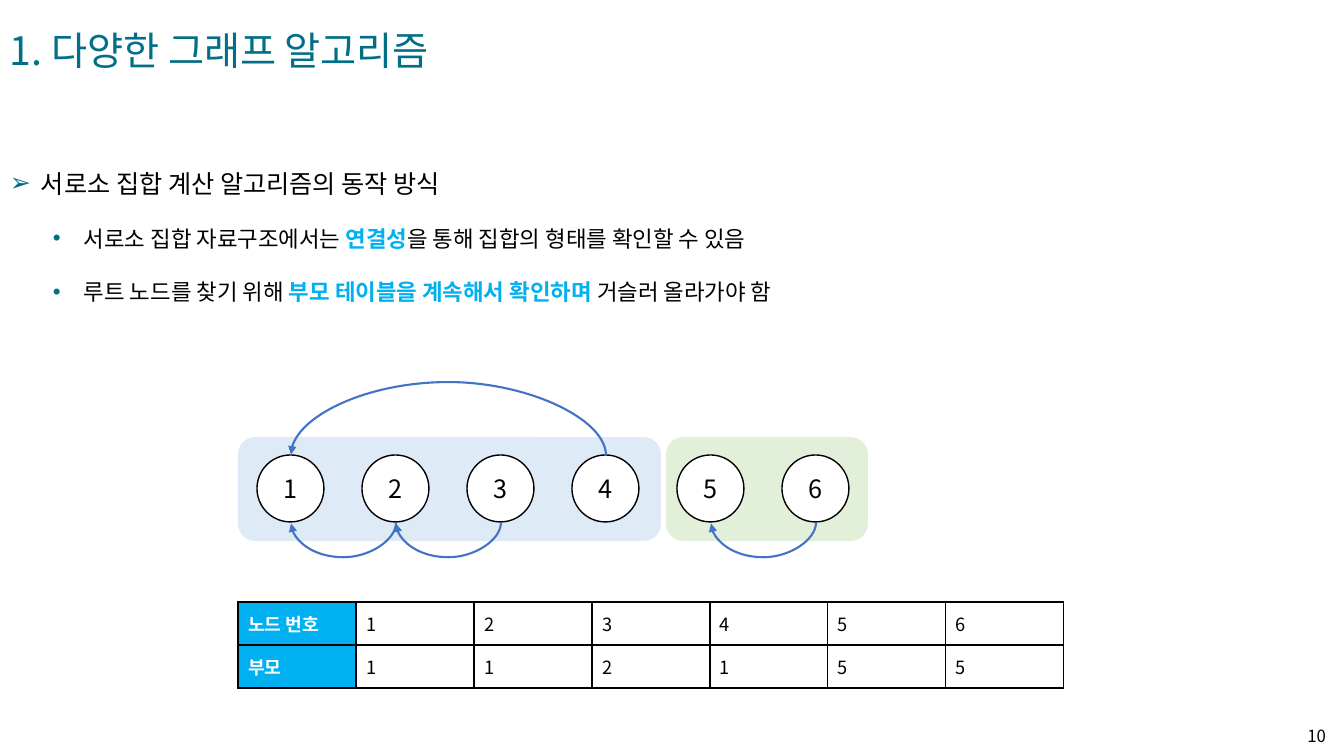
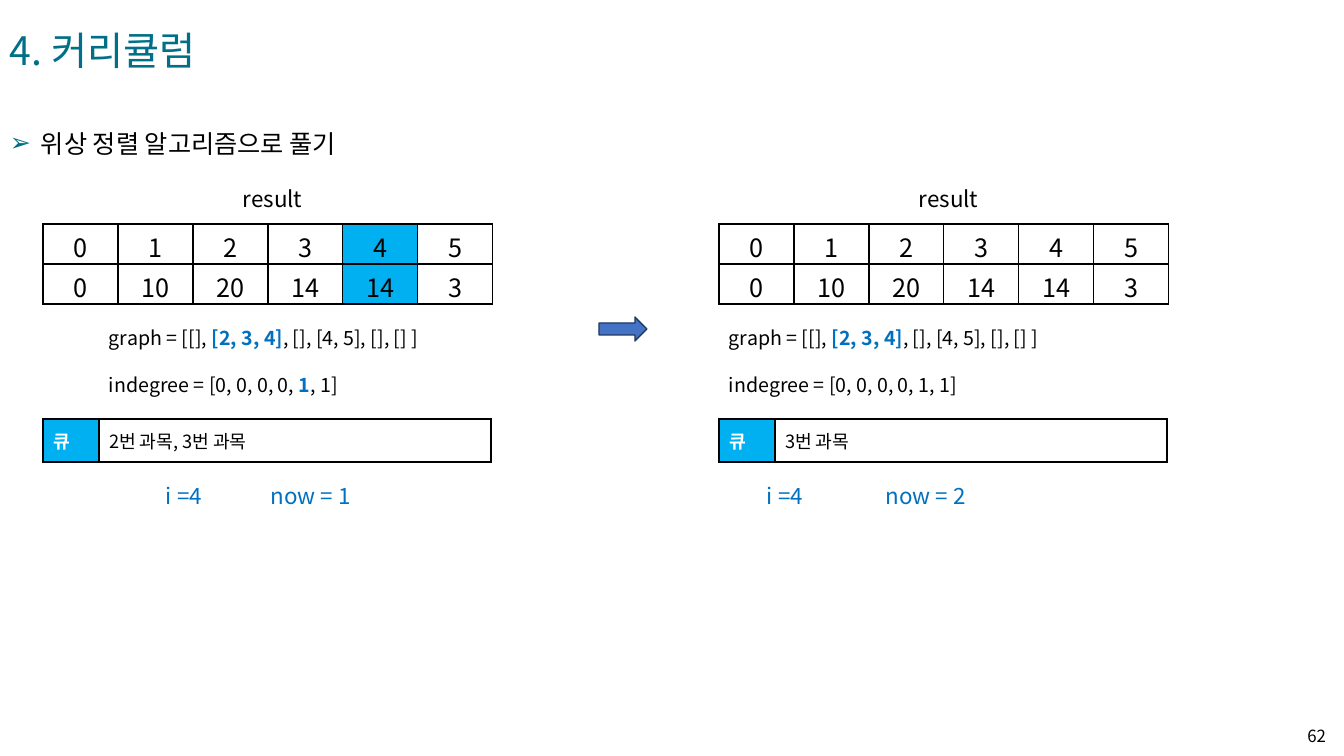
import pptx
import pptx.util
import pptx.dml.color
import pptx.enum.shapes
import pptx.enum.text
import pptx.oxml.ns
from lxml import etree

RGB = pptx.dml.color.RGBColor
SHAPE = pptx.enum.shapes.MSO_SHAPE
ALIGN = pptx.enum.text.PP_ALIGN
ANCHOR = pptx.enum.text.MSO_ANCHOR
FIT = pptx.enum.text.MSO_AUTO_SIZE
qn = pptx.oxml.ns.qn

TEAL = RGB(0x01, 0x6F, 0x87)
SKY = RGB(0x00, 0xB0, 0xF0)
BLUE = RGB(0x00, 0x70, 0xC0)
ARROW = RGB(0x44, 0x72, 0xC4)
ARROW_EDGE = RGB(0x22, 0x39, 0x61)
PALE_BLUE = RGB(0xDE, 0xEB, 0xF7)
PALE_GREEN = RGB(0xE2, 0xF0, 0xD9)
BLACK = RGB(0, 0, 0)
WHITE = RGB(255, 255, 255)
FONT = "Noto Sans CJK KR"

# A paragraph is a list of runs; a (text, colour) run is bold.
UNION_FIND = {
    "title": "1. 다양한 그래프 알고리즘",
    "number": "10",
    "heading": "서로소 집합 계산 알고리즘의 동작 방식",
    "heading_top": 133,
}
POINTS = [
    ["서로소 집합 자료구조에서는 ", ("연결성", SKY), "을 통해 집합의 형태를 확인할 수 있음"],
    ["루트 노드를 찾기 위해 ", ("부모 테이블을 계속해서 확인하며 ", SKY), "거슬러 올라가야 함"],
]
PARENTS = [
    ["노드 번호", "1", "2", "3", "4", "5", "6"],
    ["부모", "1", "1", "2", "1", "5", "5"],
]
SETS = [(238, 423, PALE_BLUE), (666, 202, PALE_GREEN)]  # left, width, colour
LINKS = [(4, 1, "above"), (3, 2, "below"), (2, 1, "below"), (6, 5, "below")]

TOPOLOGICAL = {
    "title": "4. 커리큘럼",
    "number": "62",
    "heading": "위상 정렬 알고리즘으로 풀기",
    "heading_top": 93,
}
RESULT = [["0", "1", "2", "3", "4", "5"], ["0", "10", "20", "14", "14", "3"]]
GRAPH = ["graph = [[], ", ("[2, 3, 4]", BLUE), ", [], [4, 5], [], [] ]"]
STEPS = [
    {
        "left": 43, "active": 4, "code_left": 99,
        "indegree": ["indegree = [0, 0, 0, 0, ", ("1", BLUE), ", 1]"],
        "queue": "2번 과목, 3번 과목",
        "counters": [("i =4", 156, 96), ("now = 1", 261, 231)],
    },
    {
        "left": 719, "active": None, "code_left": 719,
        "indegree": ["indegree = [0, 0, 0, 0, 1, 1]"],
        "queue": "3번 과목",
        "counters": [("i =4", 757, 96), ("now = 2", 876, 231)],
    },
]

NODE_LEFT, NODE_TOP, NODE_SIZE, NODE_PITCH = 257, 455, 67, 105


def px(length):
    return pptx.util.Emu(round(length * 914400 / 100.8))


def box(*lengths):
    return [px(length) for length in lengths]


def apply(target, values):
    for name, value in values.items():
        setattr(target, name, value)


def add_bullet(paragraph, mark):
    props = paragraph._p.get_or_add_pPr()
    props.set("marL", str(px(31)))
    props.set("indent", str(-px(31)))
    colour = etree.SubElement(props, qn("a:buClr"))
    etree.SubElement(colour, qn("a:srgbClr"), val=str(TEAL))
    etree.SubElement(props, qn("a:buFont"), typeface="Arial")
    etree.SubElement(props, qn("a:buChar"), char=mark)


def write(frame, paragraphs, size, colour=BLACK, bold=False, bullet=None, **layout):
    for index, runs in enumerate(paragraphs):
        paragraph = frame.add_paragraph() if index else frame.paragraphs[0]
        if bullet:
            add_bullet(paragraph, bullet)
        apply(paragraph, layout)
        for part in runs:
            text, run_colour, heavy = (part, colour, bold) if isinstance(part, str) else (*part, True)
            run = paragraph.add_run()
            run.text = text
            apply(run.font, {"name": FONT, "size": pptx.util.Pt(size), "bold": heavy})
            run.font.color.rgb = run_colour
            etree.SubElement(run.font._element, qn("a:ea"), typeface=FONT)


def add_text(slide, place, paragraphs, size, anchor=ANCHOR.TOP, fit=FIT.SHAPE_TO_FIT_TEXT, **style):
    frame = slide.shapes.add_textbox(*box(*place)).text_frame
    apply(frame, {"word_wrap": True, "vertical_anchor": anchor, "auto_size": fit})
    write(frame, paragraphs, size, **style)


def add_filled(slide, preset, place, fill, edge=None):
    shape = slide.shapes.add_shape(preset, *box(*place))
    shape.shadow.inherit = False
    shape.fill.solid()
    shape.fill.fore_color.rgb = fill
    if edge is None:
        shape.line.fill.background()
    else:
        shape.line.color.rgb = edge
        shape.line.width = pptx.util.Pt(1)
    return shape


def add_borders(cell):
    props = cell._tc.get_or_add_tcPr()
    for side in ("a:lnL", "a:lnR", "a:lnT", "a:lnB"):
        edge = etree.SubElement(props, qn(side), w=str(pptx.util.Pt(1)))
        fill = etree.SubElement(edge, qn("a:solidFill"))
        etree.SubElement(fill, qn("a:srgbClr"), val=str(BLACK))


def add_grid(slide, left, top, widths, row_height, rows, size, accent, header=False, cell_format=None, **style):
    """Draw a bordered table whose accent column is filled, as a white-on-blue header if asked."""
    place = box(left, top, sum(widths), row_height * len(rows))
    table = slide.shapes.add_table(len(rows), len(widths), *place).table
    apply(table, {"first_row": False, "horz_banding": False})
    for column, width in zip(table.columns, widths):
        column.width = px(width)
    for row, values in enumerate(rows):
        table.rows[row].height = px(row_height)
        for column, text in enumerate(values):
            cell = table.cell(row, column)
            apply(cell, cell_format or {"vertical_anchor": ANCHOR.MIDDLE})
            add_borders(cell)
            if column == accent:
                cell.fill.solid()
                cell.fill.fore_color.rgb = SKY
            else:
                cell.fill.background()
            label = header and column == accent
            write(cell.text_frame, [[text]], size, WHITE if label else BLACK, label, **style)


def add_link(slide, child, parent, side):
    """Draw a curved arrow that bows above or below the row of nodes."""
    child_x, parent_x = (NODE_LEFT + NODE_SIZE / 2 + NODE_PITCH * (n - 1) for n in (child, parent))
    half, middle = (child_x - parent_x) / 2, (child_x + parent_x) / 2
    above = side == "above"
    y = NODE_TOP if above else NODE_TOP + NODE_SIZE + 1
    depth = 74 if above else 35
    start, end = (y + half, y - half) if above else (y - half, y + half)
    link = slide.shapes.add_connector(
        pptx.enum.shapes.MSO_CONNECTOR.CURVE, *box(middle, start, middle + 1, end))
    link.rotation = 270 if above else 90
    link.line.color.rgb = ARROW
    link.line.width = pptx.util.Pt(1.5)
    props = link._element.spPr
    bend = props.find(qn("a:prstGeom")).find(qn("a:avLst"))
    etree.SubElement(bend, qn("a:gd"), name="adj1", fmla=f"val {depth * 100000}")
    etree.SubElement(props.find(qn("a:ln")), qn("a:tailEnd"), type="triangle")
    etree.SubElement(props, qn("a:effectLst"))


def start_slide(deck, content):
    slide = deck.slides.add_slide(deck.slide_layouts[6])
    add_text(slide, (0, 21, 900, 57), [[content["title"]]], 28, colour=TEAL)
    add_text(slide, (1279, 716, 57, 40), [[content["number"]]], 12,
             anchor=ANCHOR.MIDDLE, fit=FIT.NONE, alignment=ALIGN.RIGHT)
    add_text(slide, (0, content["heading_top"], 680, 62), [[content["heading"]]], 18,
             bullet="➢", line_spacing=2.0)
    return slide


def build_union_find(deck):
    slide = start_slide(deck, UNION_FIND)
    add_text(slide, (43, 193, 842, 110), POINTS, 16, bullet="•", line_spacing=2.0)
    for left, width, colour in SETS:
        add_filled(slide, SHAPE.ROUNDED_RECTANGLE, (left, 437, width, 104), colour)
    for index, number in enumerate(PARENTS[0][1:]):
        place = (NODE_LEFT + NODE_PITCH * index, NODE_TOP, NODE_SIZE, NODE_SIZE)
        node = add_filled(slide, SHAPE.OVAL, place, WHITE, BLACK)
        node.text_frame.vertical_anchor = ANCHOR.MIDDLE
        write(node.text_frame, [[number]], 18, alignment=ALIGN.CENTER)
    for link in LINKS:
        add_link(slide, *link)
    add_grid(slide, 238, 602, [118] * 7, 43, PARENTS, 13, accent=0, header=True)


def build_topological(deck):
    slide = start_slide(deck, TOPOLOGICAL)
    result_format = {"vertical_anchor": ANCHOR.TOP, "margin_top": px(4), "margin_bottom": 0}
    for step in STEPS:
        left = step["left"]
        add_text(slide, (left + 190, 180, 167, 37), [["result"]], 16)
        add_grid(slide, left, 224, [75] * 6, 40, RESULT, 18, accent=step["active"],
                 cell_format=result_format, alignment=ALIGN.CENTER)
        add_text(slide, (step["code_left"], 297, 500, 100), [GRAPH, step["indegree"]], 14,
                 line_spacing=2.0)
        add_grid(slide, left, 419, [56, 392], 43, [["큐", step["queue"]]], 13, accent=0, header=True)
        for text, counter_left, width in step["counters"]:
            add_text(slide, (counter_left, 477, width, 37), [[text]], 16, colour=BLUE)
    add_filled(slide, SHAPE.RIGHT_ARROW, (599, 317, 48, 24), ARROW, ARROW_EDGE)


def main():
    deck = pptx.Presentation()
    apply(deck, {"slide_width": px(1344), "slide_height": px(756)})
    build_union_find(deck)
    build_topological(deck)
    deck.save("out.pptx")


if __name__ == "__main__":
    main()
